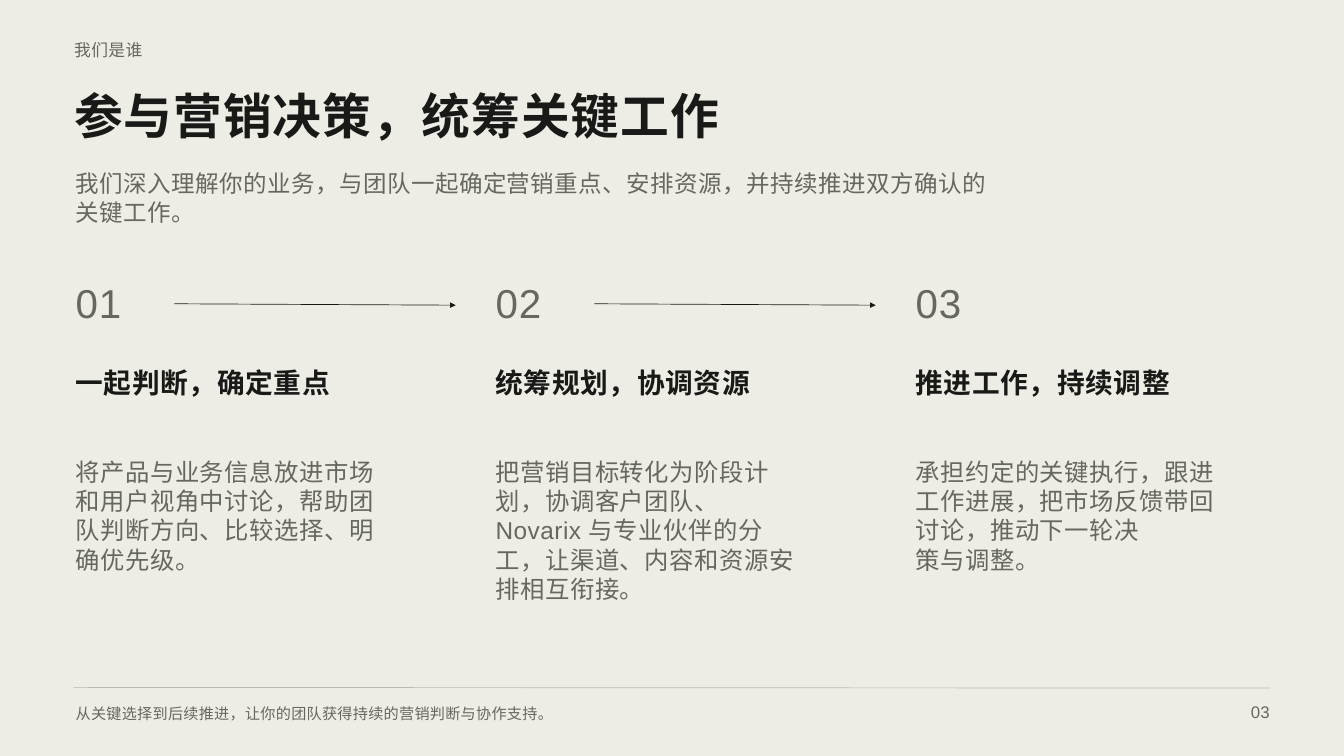
from lxml import etree
from pptx import Presentation
from pptx.dml.color import RGBColor
from pptx.enum.shapes import MSO_CONNECTOR
from pptx.enum.text import MSO_AUTO_SIZE, PP_ALIGN
from pptx.oxml.ns import qn
from pptx.util import Pt

PX = 9525  # 96 px to the inch
STRAIGHT = MSO_CONNECTOR.STRAIGHT
GROW = MSO_AUTO_SIZE.SHAPE_TO_FIT_TEXT
LEFT, RIGHT = PP_ALIGN.LEFT, PP_ALIGN.RIGHT
PAPER, INK, GREY, RULE = "EEEDE5", "191A18", "666760", "B9BAB1"

presentation = Presentation()
presentation.slide_width = 1920 * PX
presentation.slide_height = 1080 * PX
slide = presentation.slides.add_slide(presentation.slide_layouts[6])
slide.background.fill.solid()
slide.background.fill.fore_color.rgb = RGBColor.from_string(PAPER)


def add_text(text, *, left, top, width, height, size, color=GREY, bold=False, align=LEFT):
    """Add a text box, one paragraph per line; leading and tracking follow the size."""
    box = slide.shapes.add_textbox(left * PX, top * PX, width * PX, height * PX)
    frame = box.text_frame
    frame.margin_left = frame.margin_top = frame.margin_right = frame.margin_bottom = 0
    frame.word_wrap = True
    frame.auto_size = GROW
    frame.text = text
    for paragraph in frame.paragraphs:
        paragraph.alignment = align
        paragraph.line_spacing = Pt(round(size * 1.2, 1))
        for run in paragraph.runs:
            run.font.name = "Arial"
            run.font.size = Pt(size)
            run.font.bold = bold
            run.font.color.rgb = RGBColor.from_string(color)
            run.font._element.set("spc", str(round(size * 2)))


def add_line(x1, y1, x2, y2, color, arrow=False):
    line = slide.shapes.add_connector(STRAIGHT, x1 * PX, y1 * PX, x2 * PX, y2 * PX)
    line.line.color.rgb = RGBColor.from_string(color)
    line.line.width = Pt(0.75)
    if arrow:
        etree.SubElement(line.line._get_or_add_ln(), qn("a:tailEnd"), type="triangle")
    etree.SubElement(line._element.spPr, qn("a:effectLst"))


# Heading
add_text("我们是谁", left=106, top=56, width=1320, height=45, size=18)
add_text("参与营销决策，统筹关键工作", left=106, top=122, width=1709, height=112,
         size=52.2, color=INK, bold=True)
add_text("我们深入理解你的业务，与团队一起确定营销重点、安排资源，并持续推进双方确认的\n关键工作。",
         left=108, top=242, width=1680, height=106, size=25.2)

# Footer
add_line(105, 982, 1815, 983, RULE)
add_text("从关键选择到后续推进，让你的团队获得持续的营销判断与协作支持。",
         left=108, top=1006, width=1512, height=44, size=16.2)
add_text("03", left=1721, top=1002, width=93, height=46, size=18, align=RIGHT)

# Three steps, joined by arrows
steps = [
    ("一起判断，确定重点",
     "将产品与业务信息放进市场\n和用户视角中讨论，帮助团\n队判断方向、比较选择、明\n确优先级。"),
    ("统筹规划，协调资源",
     "把营销目标转化为阶段计\n划，协调客户团队、\nNovarix 与专业伙伴的分\n工，让渠道、内容和资源安\n排相互衔接。"),
    ("推进工作，持续调整",
     "承担约定的关键执行，跟进\n工作进展，把市场反馈带回\n讨论，推动下一轮决\n策与调整。"),
]
for index, (title, body) in enumerate(steps):
    left = 108 + 600 * index
    add_text(f"{index + 1:02d}", left=left, top=398, width=120, height=85, size=43.2)
    if index < len(steps) - 1:
        add_line(left + 141, 434, left + 543, 436, INK, arrow=True)
    add_text(title, left=left, top=523, width=504, height=110, size=29.7, color=INK, bold=True)
    add_text(body, left=left, top=653, width=504, height=260, size=26.1)

presentation.save("out.pptx")
